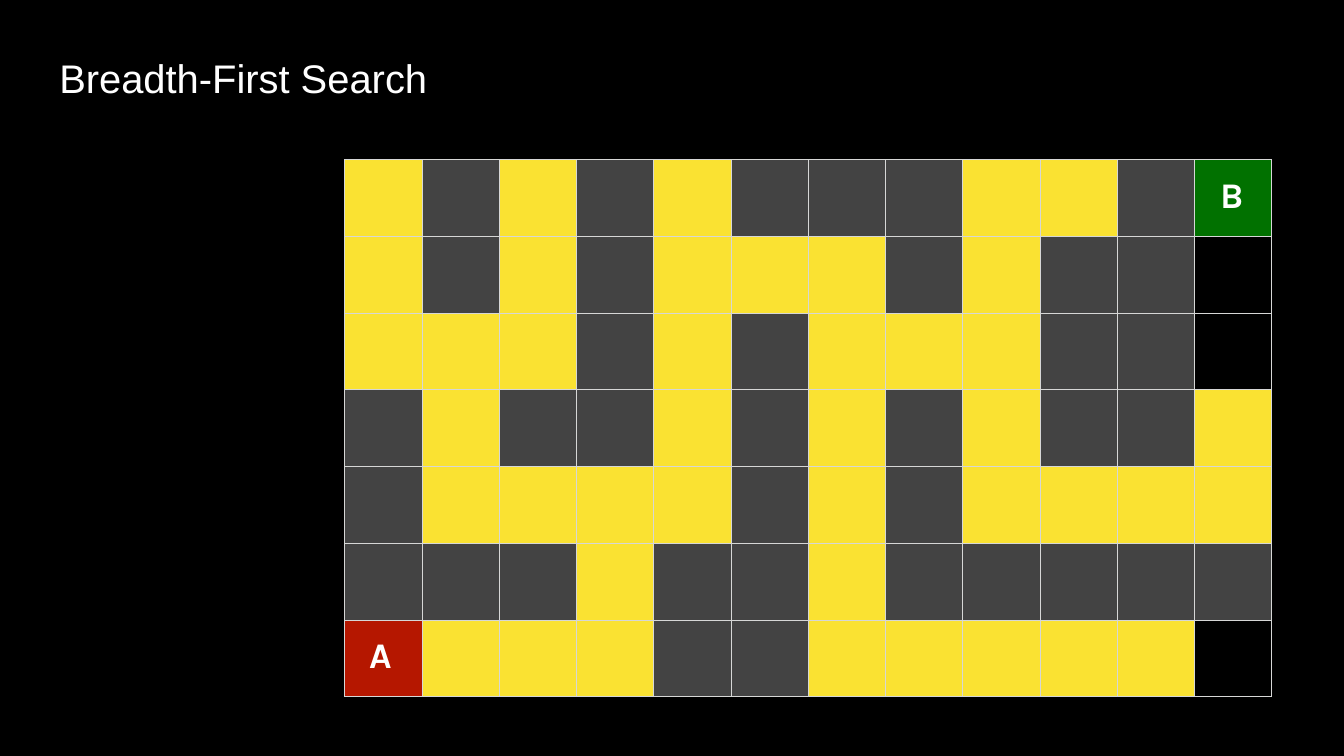
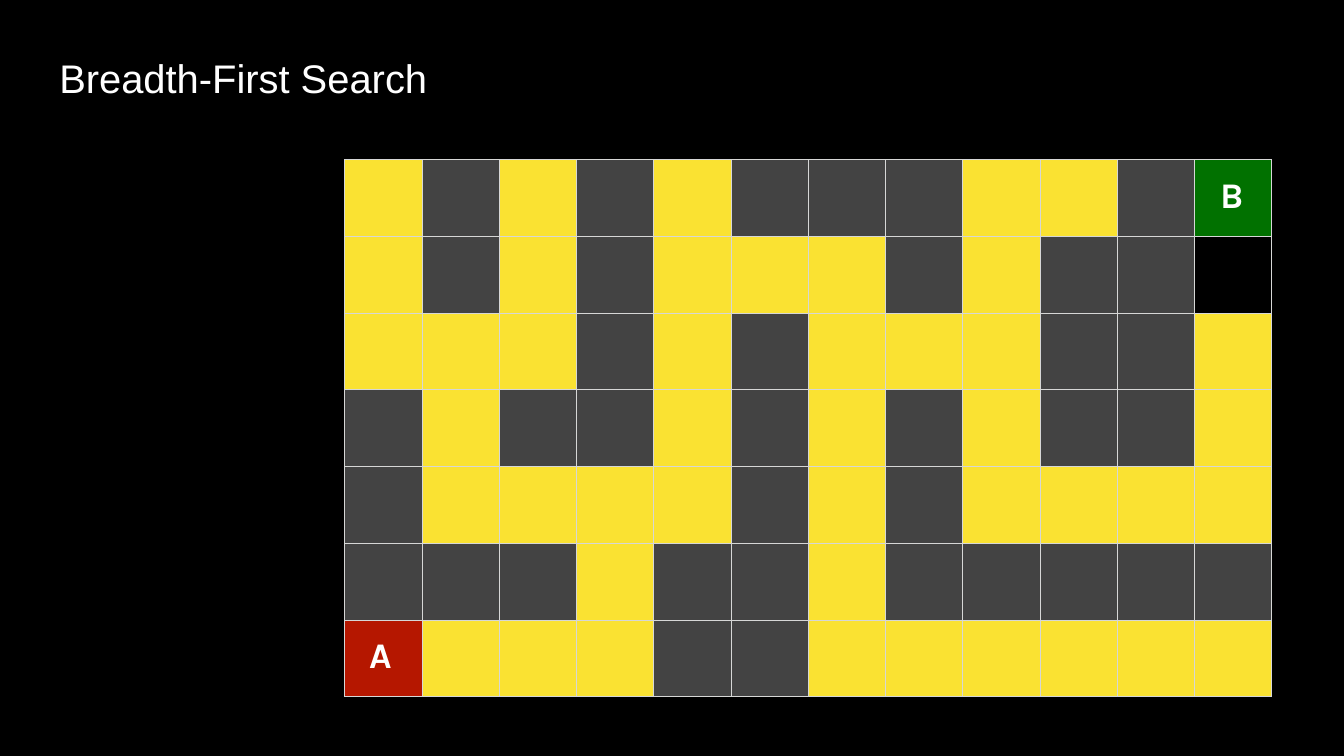
from lxml.etree import SubElement
from pptx import Presentation
from pptx.dml.color import RGBColor
from pptx.oxml.ns import qn
from pptx.util import Inches, Pt

TITLE = "Breadth-First Search"
COLORS = {
    "background": "000000",
    "text": "FFFFFF",
    "grid": "D6D7D6",
    "wall": "434343",
    "explored": "FAE232",
    "start": "B51700",
    "goal": "017100",
}
# "#" is a wall, "." an open square, A the start and B the goal.
MAZE = [
    ".#.#.###..#B",
    ".#.#...#.##.",
    "...#.#...##.",
    "#.##.#.#.##.",
    "#....#.#....",
    "###.##.#####",
    "A...##......",
]
SQUARE_KINDS = {"#": "wall", ".": "explored", "A": "start", "B": "goal"}
LETTER_MARGINS = {"A": (0.4, 0.25), "B": (0.42, 0.26)}  # left, top
# Open squares (row, column) the search has not reached on each slide.
UNEXPLORED_STEPS = [
    {(1, 11), (2, 11), (6, 11)},
    {(1, 11)},
]


def color(name):
    return RGBColor.from_string(COLORS[name])


def add_run(paragraph, text, font_name, size, bold=False):
    run = paragraph.add_run()
    run.text = text
    run.font.name = font_name
    run.font.size = Pt(size)
    run.font.bold = bold
    run.font.color.rgb = color("text")


def add_title(slide):
    title = slide.shapes.add_textbox(Inches(0.68), Inches(0.43), Inches(12.93), Inches(1.78))
    frame = title.text_frame
    frame.word_wrap = True
    frame.margin_left, frame.margin_top = Inches(0.29), Inches(0.44)
    frame.margin_right = frame.margin_bottom = 0
    add_run(frame.paragraphs[0], TITLE, "Arial", 47)


def set_borders(cell):
    properties = cell._tc.get_or_add_tcPr()
    for side in ("lnL", "lnR", "lnT", "lnB"):
        line = SubElement(properties, qn(f"a:{side}"), w=str(Pt(1)))
        fill = SubElement(line, qn("a:solidFill"))
        SubElement(fill, qn("a:srgbClr"), val=COLORS["grid"])


def add_maze(slide, unexplored):
    frame = slide.shapes.add_table(
        len(MAZE), len(MAZE[0]), Inches(5.64), Inches(2.61), Inches(15.17), Inches(8.79)
    )
    table = frame.table
    table.first_row = table.horz_banding = False
    for row, squares in enumerate(MAZE):
        for column, square in enumerate(squares):
            cell = table.cell(row, column)
            set_borders(cell)
            kind = "background" if (row, column) in unexplored else SQUARE_KINDS[square]
            cell.fill.solid()
            cell.fill.fore_color.rgb = color(kind)
            if square in LETTER_MARGINS:
                left, top = LETTER_MARGINS[square]
                cell.margin_left, cell.margin_top = Inches(left), Inches(top)
                cell.margin_right = cell.margin_bottom = 0
                add_run(cell.text_frame.paragraphs[0], square, "Karla", 42.5, bold=True)


def main():
    presentation = Presentation()
    presentation.slide_width, presentation.slide_height = Inches(21.99), Inches(12.37)
    background = presentation.slide_master.background.fill
    background.solid()
    background.fore_color.rgb = color("background")
    for unexplored in UNEXPLORED_STEPS:
        slide = presentation.slides.add_slide(presentation.slide_layouts[6])
        add_maze(slide, unexplored)
        add_title(slide)
    presentation.save("out.pptx")


if __name__ == "__main__":
    main()
